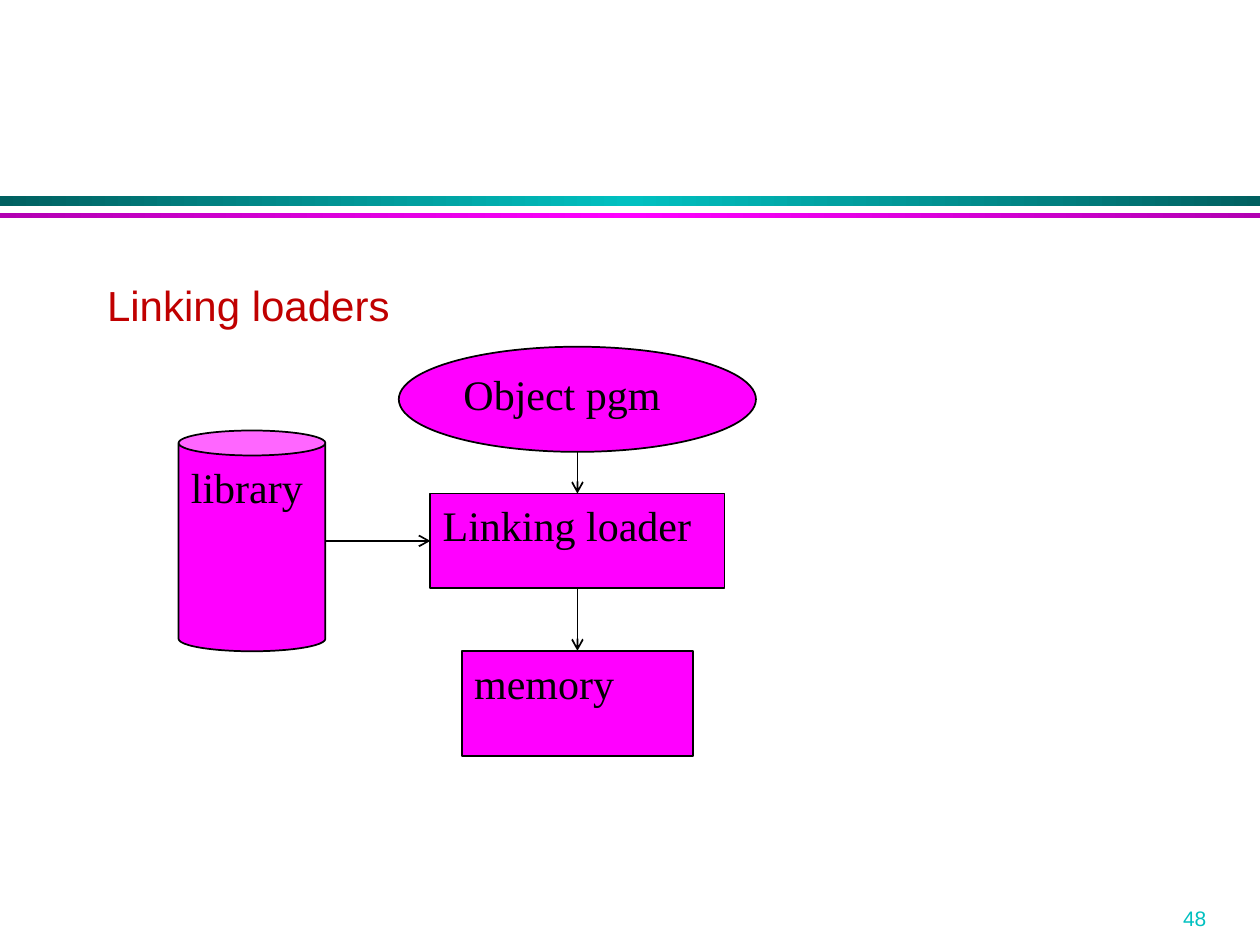
from lxml import etree
from pptx import Presentation
from pptx import util as u
from pptx.dml.color import RGBColor
from pptx.enum import shapes, text
from pptx.oxml.ns import qn

# Content (lengths in cm)
SLIDE_W, SLIDE_H = 25.4, 19.05
AXIS = 11.64  # centre line of the vertical flow
BARS = [  # top, height, edge colour, middle colour
    (3.96, 0.2, "006060", "00C0C0"),
    (4.29, 0.1, "B200B2", "FF00FF"),
]
HEADING = ("Linking loaders", (1.91, 5.51, 21.59, 11.43))
PAGE = ("48", (23.6, 18.14, 2.44, 0.76))
FLOW = [  # label, kind, top, width, height
    ("Object pgm", shapes.MSO_SHAPE.OVAL, 6.99, 7.2, 2.12),
    ("Linking loader", shapes.MSO_SHAPE.RECTANGLE, 9.95, 5.93, 1.91),
    ("memory", shapes.MSO_SHAPE.RECTANGLE, 13.12, 4.66, 2.12),
]
LIBRARY = ("library", (3.6, 8.68, 2.96, 4.45))

prs = Presentation()
prs.slide_width, prs.slide_height = u.Cm(SLIDE_W), u.Cm(SLIDE_H)
s = prs.slides.add_slide(prs.slide_layouts[6])


def rgb(value):
    return RGBColor.from_string(value)


def write(sp, content, size=24, font="Times New Roman", color="000000"):
    tf = sp.text_frame
    tf.word_wrap = True
    tf.vertical_anchor = text.MSO_ANCHOR.TOP
    p = tf.paragraphs[0]
    p.alignment = text.PP_ALIGN.LEFT
    r = p.add_run()
    r.text = content
    r.font.size, r.font.name = u.Pt(size), font
    r.font.color.rgb = rgb(color)


def add_textbox(content, box, **fmt):
    write(s.shapes.add_textbox(*map(u.Cm, box)), content, **fmt)


def add_node(content, kind, box):
    sp = s.shapes.add_shape(kind, *map(u.Cm, box))
    sp.shadow.inherit = False
    sp.fill.solid()
    sp.fill.fore_color.rgb = rgb("FF00FF")
    sp.line.color.rgb = rgb("000000")
    sp.line.width = u.Pt(1)
    write(sp, content)
    return sp


def add_bar(top, height, edge, middle):
    sp = s.shapes.add_shape(shapes.MSO_SHAPE.RECTANGLE,
                            *map(u.Cm, (0, top, SLIDE_W, height)))
    sp.shadow.inherit = False
    sp.line.fill.background()
    sp.fill.gradient()
    sp.fill.gradient_angle = 0
    stops = sp.fill._fill._gradFill.find(qn("a:gsLst"))
    for stop in list(stops):
        stops.remove(stop)
    for pos, color in ((0, edge), (50, middle), (100, edge)):
        stop = etree.SubElement(stops, qn("a:gs"), pos=str(pos * 1000))
        etree.SubElement(stop, qn("a:srgbClr"), val=color)


def add_arrow(start, end, target, end_site, source=None):
    """Draw an arrow; source is joined at its bottom when it is a rectangle."""
    c = s.shapes.add_connector(shapes.MSO_CONNECTOR.STRAIGHT, *start, *end)
    if source is not None:
        c.begin_connect(source, 2)
    c.end_connect(target, end_site)
    c.line.color.rgb = rgb("000000")
    c.line.width = u.Pt(1)
    etree.SubElement(c.line._get_or_add_ln(), qn("a:tailEnd"), type="arrow")
    etree.SubElement(c._element.spPr, qn("a:effectLst"))


# Divider bars, page number and heading
for bar in BARS:
    add_bar(*bar)
add_textbox(*PAGE, size=12, font="Arial", color="00C0C0")
add_textbox(*HEADING, font="Arial", color="C00000")

# Vertical flow, centred on the axis
nodes = [add_node(label, kind, (AXIS - w / 2, top, w, h))
         for label, kind, top, w, h in FLOW]
program, loader, memory = nodes
x = u.Cm(AXIS)
add_arrow((x, program.top + program.height), (x, loader.top), loader, 0)
add_arrow((x, loader.top + loader.height), (x, memory.top), memory, 0, loader)

# Library feeding the loader from the left
library = add_node(LIBRARY[0], shapes.MSO_SHAPE.CAN, LIBRARY[1])
library.adjustments[0] = 0.17
y = loader.top + loader.height // 2
add_arrow((library.left + library.width, y), (loader.left, y), loader, 1)

prs.save("out.pptx")
